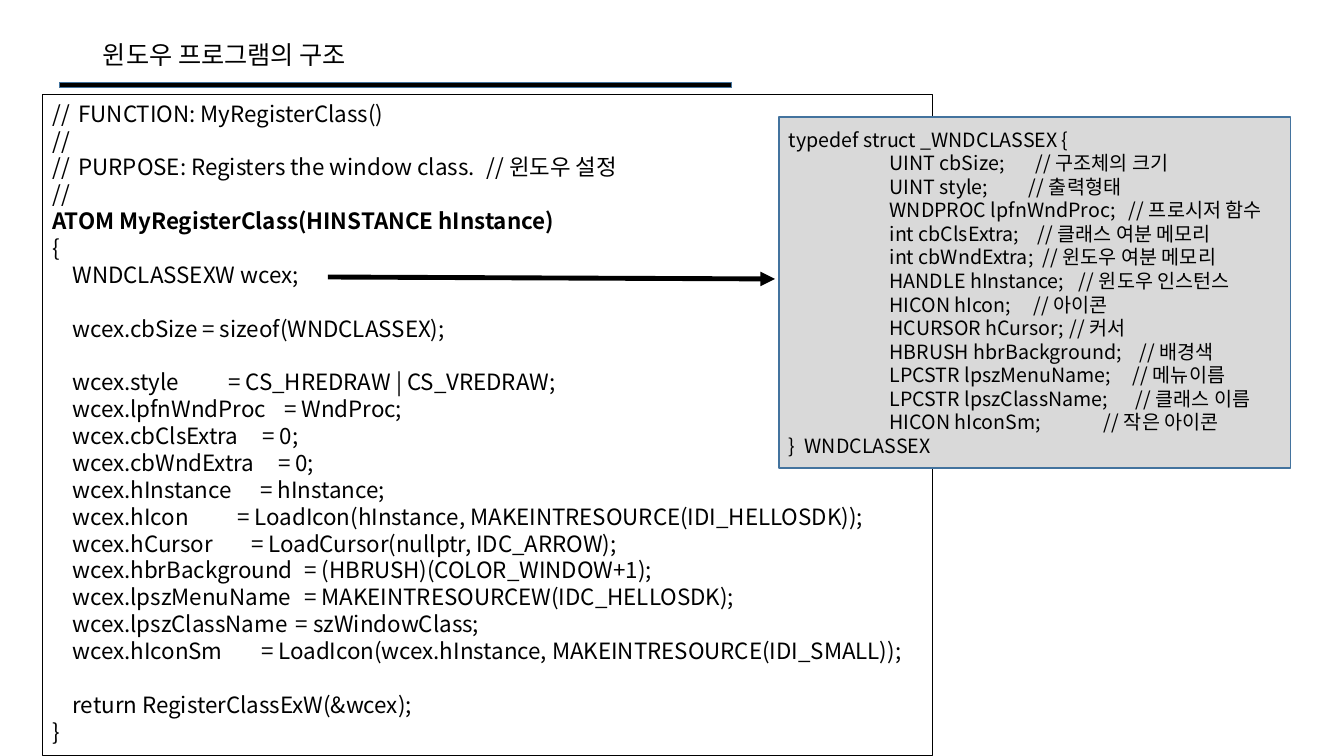
import pptx
import pptx.dml.color
import pptx.enum.shapes
import pptx.enum.text
import pptx.oxml
import pptx.oxml.ns
import pptx.util
from pptx.util import Cm

FONT = "Noto Sans CJK KR"
BLACK = pptx.dml.color.RGBColor(0x00, 0x00, 0x00)
GREY = pptx.dml.color.RGBColor(0xD9, 0xD9, 0xD9)
BLUE = pptx.dml.color.RGBColor(0x43, 0x73, 0x9E)
LINE_FACTOR = 1.2
INDENT = 0.51
MEMBER_INDENT = 2.54

# Each line: text, then its tab stops in centimetres
HEADER_LINES = [
    ("//\tFUNCTION: MyRegisterClass()", 0.66),
    ("//",),
    ("//\tPURPOSE: Registers the window class.\t//윈도우 설정", 0.66, 10.94),
    ("//",),
    ("ATOM MyRegisterClass(HINSTANCE hInstance)",),
    ("{",),
    ("\tWNDCLASSEXW wcex;", INDENT),
    ("\twcex.cbSize = sizeof(WNDCLASSEX);", INDENT),
]
# Each assignment: member, value, position of the equals sign
ASSIGNMENTS = [
    ("style", "CS_HREDRAW | CS_VREDRAW", 4.43),
    ("lpfnWndProc", "WndProc", 5.84),
    ("cbClsExtra", "0", 5.29),
    ("cbWndExtra", "0", 5.69),
    ("hInstance", "hInstance", 5.24),
    ("hIcon", "LoadIcon(hInstance, MAKEINTRESOURCE(IDI_HELLOSDK))", 4.66),
    ("hCursor", "LoadCursor(nullptr, IDC_ARROW)", 5.01),
    ("hbrBackground", "(HBRUSH)(COLOR_WINDOW+1)", 5.99),
    ("lpszMenuName", "MAKEINTRESOURCEW(IDC_HELLOSDK)", 6.35),
    ("lpszClassName", "szWindowClass", 6.14),
    ("hIconSm", "LoadIcon(wcex.hInstance, MAKEINTRESOURCE(IDI_SMALL))", 5.26),
]
FOOTER_LINES = [("\treturn RegisterClassExW(&wcex);", INDENT), ("}",)]
# Each member: declaration, comment, position of the comment
MEMBERS = [
    ("UINT cbSize;", "구조체의 크기", 6.22),
    ("UINT style;", "출력형태", 6.05),
    ("WNDPROC lpfnWndProc;", "프로시저 함수", 8.57),
    ("int cbClsExtra;", "클래스 여분 메모리", 6.27),
    ("int cbWndExtra;", "윈도우 여분 메모리", 6.4),
    ("HANDLE hInstance;", "윈도우 인스턴스", 7.31),
    ("HICON hIcon;", "아이콘", 6.17),
    ("HCURSOR hCursor;", "커서", 7.08),
    ("HBRUSH hbrBackground;", "배경색", 8.84),
    ("LPCSTR lpszMenuName;", "메뉴이름", 8.67),
    ("LPCSTR lpszClassName;", "클래스 이름", 8.74),
    ("HICON hIconSm;", "작은 아이콘", 7.94),
]


def format_paragraph(paragraph, size, bold=False):
    paragraph.alignment = pptx.enum.text.PP_ALIGN.LEFT
    paragraph.line_spacing = pptx.util.Pt(size * LINE_FACTOR)
    paragraph.space_before = pptx.util.Pt(0)
    for run in paragraph.runs:
        run.font.name = FONT
        run.font.size = pptx.util.Pt(size)
        run.font.bold = bold
        run.font.color.rgb = BLACK
        east_asian = pptx.oxml.ns.qn("a:ea")
        pptx.oxml.xmlchemy.OxmlElement("a:ea")
        run.font._element.append(run.font._element.makeelement(east_asian, {"typeface": FONT}))


def set_tab_stops(paragraph, stops):
    properties = paragraph._p.get_or_add_pPr()
    tab_list = properties.makeelement(pptx.oxml.ns.qn("a:tabLst"), {})
    for stop in stops:
        attributes = {"pos": str(int(Cm(stop))), "algn": "l"}
        tab_list.append(tab_list.makeelement(pptx.oxml.ns.qn("a:tab"), attributes))
    properties.append(tab_list)


def write_lines(text_frame, lines, size, bold_starts="ATOM", gap_starts=()):
    """Writes code lines; lines that start with gap_starts get one line of space above."""
    for index, (text, *stops) in enumerate(lines):
        paragraph = text_frame.paragraphs[0] if index == 0 else text_frame.add_paragraph()
        paragraph.text = text
        format_paragraph(paragraph, size, text.startswith(bold_starts))
        if text.startswith(tuple(gap_starts)):
            paragraph.space_before = pptx.util.Pt(size * LINE_FACTOR)
        if stops:
            set_tab_stops(paragraph, stops)


def add_box(slide, box, fill, line, width):
    shape = slide.shapes.add_shape(pptx.enum.shapes.MSO_SHAPE.RECTANGLE, *box)
    shape.shadow.inherit = False
    if fill is None:
        shape.fill.background()
    else:
        shape.fill.solid()
        shape.fill.fore_color.rgb = fill
    shape.line.color.rgb = line
    shape.line.width = pptx.util.Pt(width)
    return shape


def add_heading(slide, left, top, width, height):
    # Rule under the title
    add_box(slide, (left, top + height - Cm(0.13), width, Cm(0.13)), BLACK, BLUE, 1)
    # Title
    title = slide.shapes.title
    title.left, title.top = left + Cm(0.84), top
    title.width, title.height = Cm(7.39), Cm(1.02)
    title.text_frame.text = "윈도우 프로그램의 구조"
    title.text_frame.word_wrap = False
    title.text_frame.auto_size = pptx.enum.text.MSO_AUTO_SIZE.NONE
    title.text_frame.vertical_anchor = pptx.enum.text.MSO_ANCHOR.TOP
    format_paragraph(title.text_frame.paragraphs[0], 18)


def add_code(slide, *box):
    text_frame = add_box(slide, box, None, BLACK, 0.75).text_frame
    text_frame.word_wrap = False
    text_frame.vertical_anchor = pptx.enum.text.MSO_ANCHOR.TOP
    assignments = [
        (f"\twcex.{member}\t= {value};", INDENT, stop) for member, value, stop in ASSIGNMENTS
    ]
    gaps = ("\twcex.cbSize", "\twcex.style", "\treturn")
    write_lines(text_frame, HEADER_LINES + assignments + FOOTER_LINES, 16, gap_starts=gaps)


def add_structure(slide, *box):
    text_frame = add_box(slide, box, GREY, BLUE, 1).text_frame
    text_frame.word_wrap = True
    text_frame.vertical_anchor = pptx.enum.text.MSO_ANCHOR.MIDDLE
    members = [
        (f"\t{declaration}\t//{comment}", MEMBER_INDENT, stop)
        for declaration, comment, stop in MEMBERS
    ]
    lines = [("typedef struct _WNDCLASSEX {",), *members, ("}\tWNDCLASSEX", 0.4)]
    write_lines(text_frame, lines, 14)


def add_arrow(slide, left, top, width, height):
    arrow = slide.shapes.add_connector(
        pptx.enum.shapes.MSO_CONNECTOR.STRAIGHT, left, top, left + width, top + height
    )
    arrow.line.color.rgb = BLACK
    arrow.line.width = pptx.util.Pt(3.5)
    line = arrow.line._get_or_add_ln()
    line.append(line.makeelement(pptx.oxml.ns.qn("a:tailEnd"), {"type": "triangle"}))
    properties = arrow._element.spPr
    properties.append(properties.makeelement(pptx.oxml.ns.qn("a:effectLst"), {}))


def main():
    presentation = pptx.Presentation()
    presentation.slide_width, presentation.slide_height = Cm(33.87), Cm(19.05)
    slide = presentation.slides.add_slide(presentation.slide_layouts[5])
    add_heading(slide, Cm(1.5), Cm(0.86), Cm(16.94), Cm(1.35))
    add_code(slide, Cm(1.07), Cm(2.39), Cm(22.43), Cm(16.66))
    add_structure(slide, Cm(19.63), Cm(2.95), Cm(12.9), Cm(8.84))
    add_arrow(slide, Cm(8.26), Cm(6.98), Cm(11.27), Cm(0.05))
    presentation.save("out.pptx")


if __name__ == "__main__":
    main()
